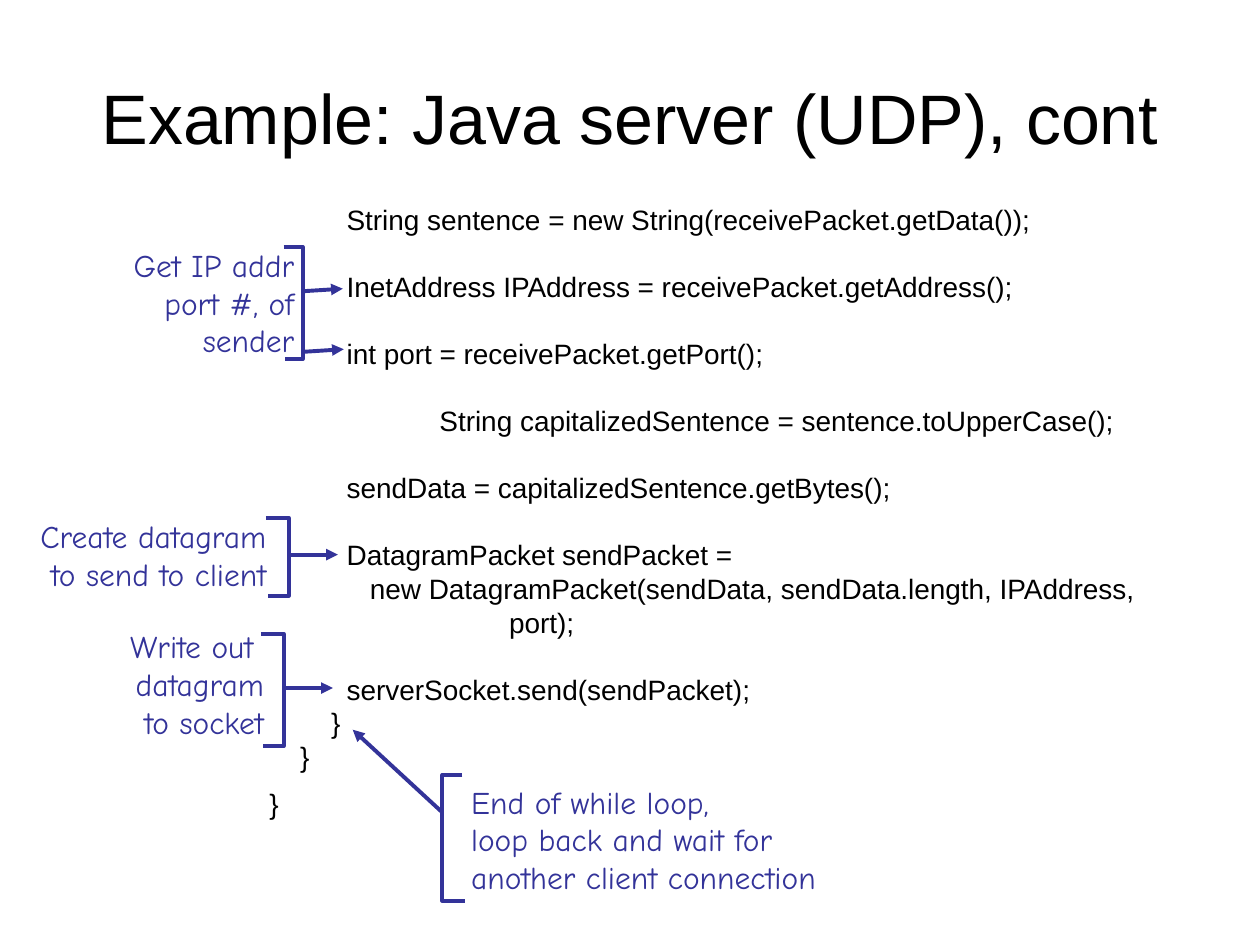
from lxml.etree import SubElement
from pptx import Presentation
from pptx.dml.color import RGBColor
from pptx.enum.shapes import MSO_CONNECTOR
from pptx.enum.text import MSO_ANCHOR, PP_ALIGN
from pptx.oxml.ns import qn
from pptx.util import Cm, Pt

BLACK = "000000"
INDIGO = "333399"
LINE_RATIO = 1.2
CODE_PITCH = 16 * LINE_RATIO


def color(value):
    return RGBColor.from_string(value)


def add_text(area, lines, font, size, ink, align, anchor, wrap):
    box = slide.shapes.add_textbox(*[Cm(length) for length in area])
    frame = box.text_frame
    frame.word_wrap = wrap
    frame.vertical_anchor = anchor
    for index, (text, gap) in enumerate(lines):
        para = frame.add_paragraph() if index else frame.paragraphs[0]
        para.alignment = align
        para.line_spacing = Pt(size * LINE_RATIO)
        para.space_before = Pt(gap)
        span = para.add_run()
        span.text = text
        span.font.name = font
        span.font.size = Pt(size)
        span.font.color.rgb = color(ink)


deck = Presentation()
deck.slide_width = Cm(25.4)
deck.slide_height = Cm(19.05)
slide = deck.slides.add_slide(deck.slide_layouts[6])

add_text((1.27, 0.76, 22.86, 3.18), [("Example: Java server (UDP), cont", 0)],
         "Arial", 40, BLACK, PP_ALIGN.CENTER, MSO_ANCHOR.MIDDLE, True)

code_lines = [
    ("          String sentence = new String(receivePacket.getData());", 0),
    ("          InetAddress IPAddress = receivePacket.getAddress();", CODE_PITCH),
    ("          int port = receivePacket.getPort();", CODE_PITCH),
    ("                      String capitalizedSentence = sentence.toUpperCase();", CODE_PITCH),
    ("          sendData = capitalizedSentence.getBytes();", CODE_PITCH),
    ("          DatagramPacket sendPacket =", CODE_PITCH),
    ("             new DatagramPacket(sendData, sendData.length, IPAddress,", 0),
    ("                               port);", 0),
    ("          serverSocket.send(sendPacket);", CODE_PITCH),
    ("        }", 0),
    ("    }", 0),
    ("}", 7.8),
]
add_text((5.18, 3.95, 18.16, 12.78), code_lines,
         "Arial", 16, BLACK, PP_ALIGN.LEFT, MSO_ANCHOR.TOP, True)

labels = [
    ((0.36, 4.83, 5.82, 2.54), PP_ALIGN.RIGHT, ["Get IP addr", "port #, of", "sender"]),
    ((0.51, 10.29, 5.11, 1.78), PP_ALIGN.RIGHT, ["Create datagram", "to send to client"]),
    ((2.34, 12.52, 3.23, 2.54), PP_ALIGN.RIGHT, ["Write out ", "datagram", "to socket"]),
    ((9.25, 15.65, 7.47, 2.54), PP_ALIGN.LEFT,
     ["End of while loop,", "loop back and wait for", "another client connection"]),
]
for area, align, lines in labels:
    add_text(area, [(line, 0) for line in lines],
             "Comic Neue", 18, INDIGO, align, MSO_ANCHOR.MIDDLE, False)

brackets = [
    (5.72, 6.1, 5.74, 4.98, 7.24),
    (5.36, 5.82, 5.41, 10.44, 12.01),
    (5.26, 5.72, 5.31, 12.78, 15.04),
    (9.32, 8.92, 9.37, 15.62, 18.16),
]
for upper_tip, spine, lower_tip, top, bottom in brackets:
    builder = slide.shapes.build_freeform(Cm(upper_tip), Cm(top))
    corners = [(spine, top), (spine, bottom), (lower_tip, bottom)]
    builder.add_line_segments([(Cm(x), Cm(y)) for x, y in corners], close=False)
    bracket = builder.convert_to_shape()
    bracket.shadow.inherit = False
    bracket.fill.background()
    bracket.line.color.rgb = color(INDIGO)
    bracket.line.width = Pt(2.25)

arrows = [
    (6.12, 5.87, 6.91, 5.82),
    (6.15, 7.09, 6.93, 7.04),
    (5.87, 11.18, 6.81, 11.18),
    (5.77, 13.87, 6.71, 13.87),
    (8.92, 16.38, 7.11, 14.71),
]
for ends in arrows:
    arrow = slide.shapes.add_connector(MSO_CONNECTOR.STRAIGHT, *[Cm(end) for end in ends])
    arrow.line.color.rgb = color(INDIGO)
    arrow.line.width = Pt(2.25)
    SubElement(arrow.line._get_or_add_ln(), qn("a:tailEnd"), type="triangle")
    SubElement(arrow._element.spPr, qn("a:effectLst"))

deck.save("out.pptx")
